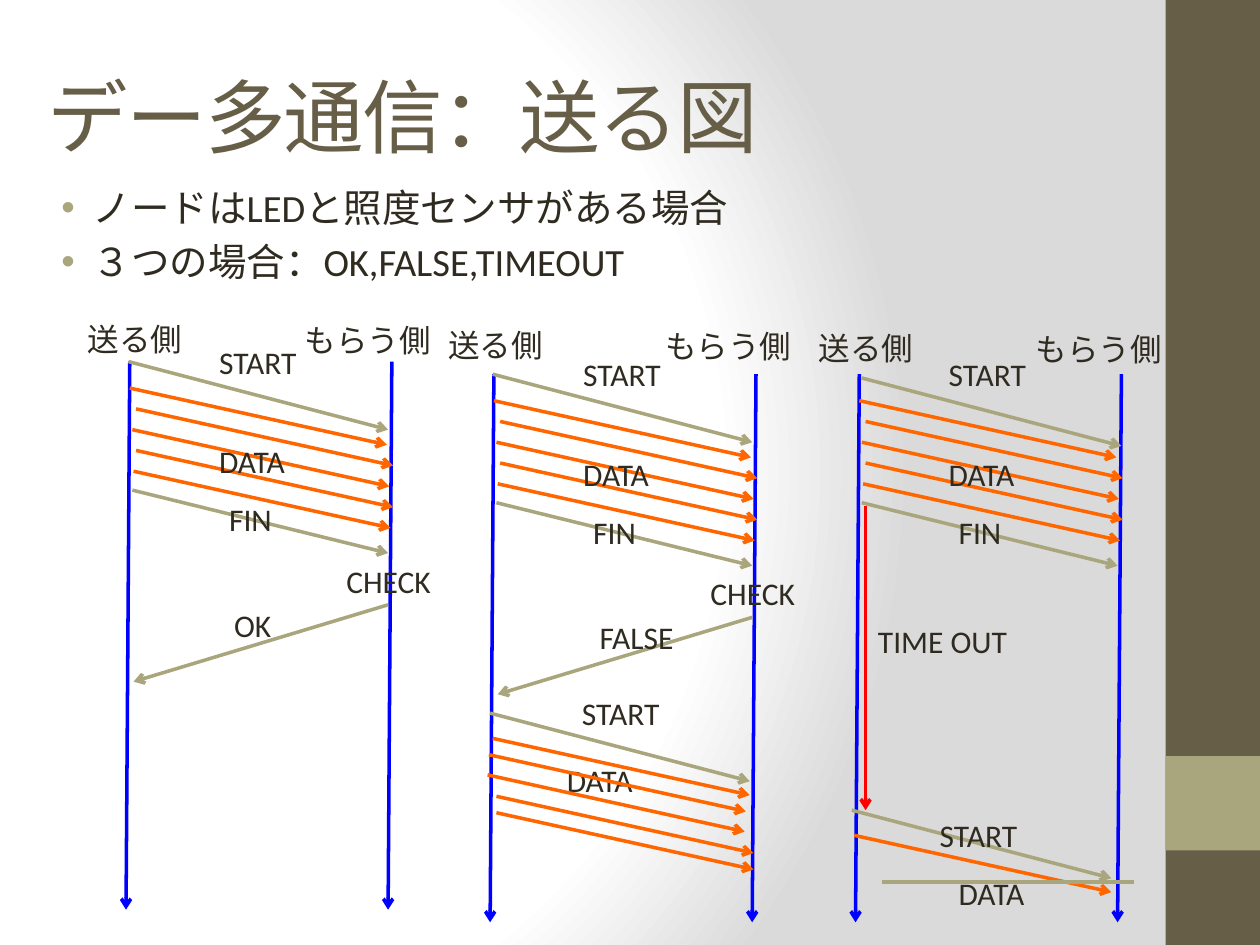
from dataclasses import dataclass

from lxml.etree import SubElement
from pptx import Presentation
from pptx.dml.color import RGBColor
from pptx.enum.shapes import MSO_CONNECTOR, MSO_SHAPE
from pptx.enum.text import MSO_ANCHOR, MSO_AUTO_SIZE, PP_ALIGN
from pptx.oxml import parse_xml
from pptx.oxml.ns import nsdecls, qn
from pptx.util import Inches, Pt

BROWN, OLIVE, INK = "675E47", "A9A57C", "2F2B20"
BLUE, ORANGE, RED = "0000FF", "FF6600", "FF0000"

Point = tuple[float, float]


@dataclass
class Label:
    text: str
    left: float
    top: float
    width: float


@dataclass
class Case:
    """One sequence diagram: shift from the first one, and its headings."""
    shift: Point
    heading: Point
    start_nudge: float = 0
    reply: Label | None = None


CASES = [
    Case((0, 0), (0.6, 2.49), reply=Label("OK", 1.76, 4.76, 0.5)),
    Case((2.89, 0.1), (3.46, 2.54), reply=Label("FALSE", 1.77, 4.76, 0.81)),
    Case((5.79, 0.1), (6.4, 2.56), start_nudge=0.03),
]
# Run of each kind of message, from start to end
LIFELINE, START, DATA, FIN, REPLY = (
    (-0.03, 4.35), (2.06, 0.54), (2.04, 0.45), (2.03, 0.5), (-2.02, 0.61))
DATA_LEFTS = [1.03, 1.08, 1.05, 1.08, 1.06]
DATA_TOP, DATA_STEP = 3.08, 0.165
RETRY_DATA = [(3.91, 5.86), (3.88, 5.99), (3.87, 6.15), (3.94, 6.32), (3.94, 6.45)]
WAVE_START = (6.76, 7.22)
WAVE_CURVES = [
    ((6.92, 7.1), (7.07, 6.97), (7.21, 6.99)),
    ((7.34, 7), (7.46, 7.29), (7.59, 7.31)),
    ((7.72, 7.32), (7.86, 7.09), (7.98, 7.08)),
    ((8.1, 7.07), (8.2, 7.23), (8.3, 7.23)),
    ((8.41, 7.24), (8.54, 7.1), (8.61, 7.11)),
    ((8.68, 7.13), (8.67, 7.29), (8.7, 7.32)),
]


def color(value: str) -> RGBColor:
    return RGBColor.from_string(value)


def add_run(paragraph, text: str, size: float, font: str = "Calibri", ink: str = INK):
    run = paragraph.add_run()
    run.text = text
    run.font.size = Pt(size)
    run.font.name = font
    run.font.color.rgb = color(ink)
    return run


def add_bar(slide, top: float, height: float, fill: str) -> None:
    shape = slide.shapes.add_shape(
        MSO_SHAPE.RECTANGLE, Inches(9.25), Inches(top), Inches(0.75), Inches(height))
    shape.shadow.inherit = False
    shape.fill.solid()
    shape.fill.fore_color.rgb = color(fill)
    shape.line.fill.background()


def add_arrow(slide, start: Point, run: Point, ink: str) -> None:
    x, y = start
    connector = slide.shapes.add_connector(
        MSO_CONNECTOR.STRAIGHT, Inches(x), Inches(y),
        Inches(x + run[0]), Inches(y + run[1]))
    connector.line.width = Pt(2)
    connector.line.color.rgb = color(ink)
    SubElement(connector.line._get_or_add_ln(), qn("a:tailEnd"), type="arrow")
    SubElement(connector._element.spPr, qn("a:effectLst"))


def add_label(slide, label: Label, shift: Point = (0, 0)) -> None:
    box = slide.shapes.add_textbox(
        Inches(label.left + shift[0]), Inches(label.top + shift[1]),
        Inches(label.width), Inches(0.4))
    box.text_frame.word_wrap = False
    box.text_frame.auto_size = MSO_AUTO_SIZE.SHAPE_TO_FIT_TEXT
    add_run(box.text_frame.paragraphs[0], label.text, 18)


def add_bullet(paragraph, parts: list[str]) -> None:
    paragraph.space_before = Pt(4.4)
    properties = paragraph._p.get_or_add_pPr()
    properties.set("marL", str(Inches(0.38)))
    properties.set("indent", str(Inches(-0.25)))
    bullet_color = SubElement(properties, qn("a:buClr"))
    SubElement(bullet_color, qn("a:srgbClr"), val=OLIVE)
    SubElement(properties, qn("a:buFont"), typeface="Arial")
    SubElement(properties, qn("a:buChar"), char="•")
    for part in parts:
        add_run(paragraph, part, 22)


def add_case(slide, case: Case) -> None:
    dx, dy = case.shift

    def arrow(x: float, y: float, run: Point, ink: str) -> None:
        add_arrow(slide, (x + dx, y + dy), run, ink)

    for x in (1.03, 3.11):
        arrow(x, 2.87, LIFELINE, BLUE)
    arrow(1.02 + case.start_nudge, 2.87 + case.start_nudge, START, OLIVE)
    for index, x in enumerate(DATA_LEFTS):
        arrow(x, DATA_TOP + index * DATA_STEP, DATA, ORANGE)
    arrow(1.05, 3.89, FIN, OLIVE)
    labels = [Label("START", 1.64, 2.67, 0.85), Label("DATA", 1.64, 3.46, 0.77),
              Label("FIN", 1.72, 3.92, 0.54)]
    if case.reply:
        arrow(3.08, 4.8, REPLY, OLIVE)
        labels += [case.reply, Label("CHECK", 2.65, 4.41, 0.88)]
    for label in labels:
        add_label(slide, label, case.shift)
    left, top = case.heading
    add_label(slide, Label("送る側", left, top, 0.96))
    add_label(slide, Label("もらう側", left + 1.72, top + 0.01, 1.21))


def curve_points(start: Point, curves, steps: int = 10) -> list[Point]:
    points = []
    for a, b, end in curves:
        for step in range(1, steps + 1):
            t = step / steps
            weights = ((1 - t) ** 3, 3 * t * (1 - t) ** 2, 3 * t * t * (1 - t), t ** 3)
            points.append(tuple(
                sum(w * p[axis] for w, p in zip(weights, (start, a, b, end)))
                for axis in (0, 1)))
        start = end
    return points


def add_wave(slide) -> None:
    builder = slide.shapes.build_freeform(*WAVE_START, scale=Inches(1))
    builder.add_line_segments(curve_points(WAVE_START, WAVE_CURVES), close=False)
    wave = builder.convert_to_shape()
    wave.shadow.inherit = False
    wave.fill.background()
    wave.line.color.rgb = color(OLIVE)
    wave.line.width = Pt(2)


def set_background(slide) -> None:
    fill = slide.background.fill
    fill.solid()
    stops = "".join(
        f'<a:gs pos="{position * 1000}"><a:srgbClr val="{value}"/></a:gs>'
        for position, value in ((0, "FFFFFF"), (75, "FFFFFF"), (100, "DADADA")))
    gradient = parse_xml(
        f'<a:gradFill {nsdecls("a")} rotWithShape="1"><a:gsLst>{stops}</a:gsLst>'
        '<a:path path="circle"><a:fillToRect l="20000" t="50000" r="100000" b="50000"/>'
        '</a:path></a:gradFill>')
    properties = slide._element.cSld.bg.bgPr
    properties.replace(properties.find(qn("a:solidFill")), gradient)


def main() -> None:
    presentation = Presentation()
    presentation.slide_width, presentation.slide_height = Inches(10), Inches(7.5)
    slide = presentation.slides.add_slide(presentation.slide_layouts[5])
    set_background(slide)

    # Side bars
    add_bar(slide, 0, 7.5, BROWN)
    add_bar(slide, 6, 0.75, OLIVE)

    # Title and bullets
    title = slide.shapes.title
    title.left, title.top, title.width, title.height = map(Inches, (0.28, 0.29, 8.33, 1.25))
    title.text_frame.vertical_anchor = MSO_ANCHOR.MIDDLE
    title.text_frame.auto_size = MSO_AUTO_SIZE.NONE
    paragraph = title.text_frame.paragraphs[0]
    paragraph.alignment = PP_ALIGN.LEFT
    run = add_run(paragraph, "デー多通信：送る図", 46, "Cambria", BROWN)
    run.font._element.set("spc", "-100")
    body = slide.shapes.add_textbox(*map(Inches, (0.26, 1.41, 8.33, 5.25))).text_frame
    body.word_wrap = True
    add_bullet(body.paragraphs[0], ["ノードは", "LED", "と照度センサがある場合"])
    add_bullet(body.add_paragraph(), ["３つの場合：", "OK,FALSE,TIMEOUT"])

    # The three cases
    for case in CASES:
        add_case(slide, case)

    # Resending after FALSE
    add_arrow(slide, (3.89, 5.66), START, OLIVE)
    add_label(slide, Label("START", 4.52, 5.46, 0.85))
    add_label(slide, Label("DATA", 4.4, 5.99, 0.77))
    for start in RETRY_DATA:
        add_arrow(slide, start, DATA, ORANGE)

    # Resending after the time out
    add_arrow(slide, (6.87, 4.02), (0, 2.41), RED)
    add_arrow(slide, (6.76, 6.43), START, OLIVE)
    add_arrow(slide, (6.78, 6.63), DATA, ORANGE)
    for label in (Label("TIME OUT", 6.87, 4.89, 1.24), Label("START", 7.36, 6.43, 0.85),
                  Label("DATA", 7.51, 6.89, 0.77)):
        add_label(slide, label)
    add_wave(slide)

    presentation.save("out.pptx")


if __name__ == "__main__":
    main()
